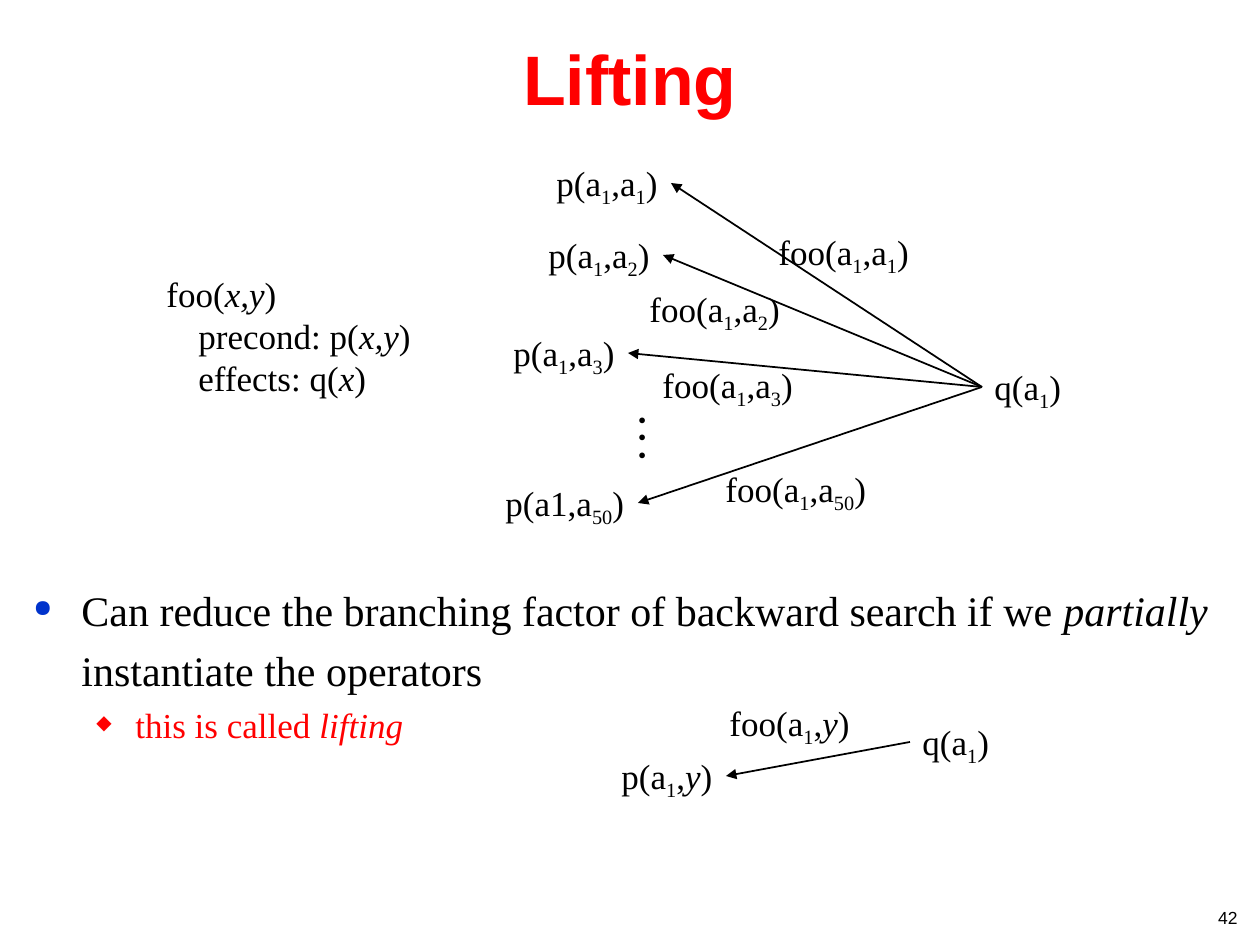
from pptx import Presentation
from pptx.dml.color import RGBColor
from pptx.enum.shapes import MSO_CONNECTOR
from pptx.enum.text import MSO_ANCHOR, MSO_AUTO_SIZE, PP_ALIGN
from pptx.oxml.ns import qn
from pptx.util import Pt
from lxml.etree import SubElement

COLORS = {"ink": "000000", "red": "FF0000", "blue": "0033CC"}
SERIF, SANS = "Times New Roman", "Arial"
SCALE = 914400 / 126


def px(n):
    return round(n * SCALE)


def add_text(slide, box, lines, size=20, font=SERIF, color="ink", wrap=False):
    """Lines hold pieces split by |, where _ marks a subscript and / italics."""
    shape = slide.shapes.add_textbox(*map(px, box))
    frame = shape.text_frame
    frame.word_wrap = wrap
    if not wrap:
        frame.auto_size = MSO_AUTO_SIZE.SHAPE_TO_FIT_TEXT
    for i, line in enumerate(lines):
        para = frame.paragraphs[0] if i == 0 else frame.add_paragraph()
        para.font.size, para.font.name = Pt(size), font
        para.font.color.rgb = RGBColor.from_string(COLORS[color])
        for piece in line.split("|"):
            run = para.add_run()
            run.text = piece.lstrip("_/")
            if piece.startswith("_"):
                run.font._element.set("baseline", "-25000")
            elif piece.startswith("/"):
                run.font.italic = True
    return shape


def indent(para, left, first=0):
    props = para._p.get_or_add_pPr()
    props.set("marL", str(px(left)))
    props.set("indent", str(px(first)))
    return props


def add_bullet(para, left, hang, mark, color):
    props = indent(para, left, -hang)
    fill = SubElement(props, qn("a:buClr"))
    SubElement(fill, qn("a:srgbClr"), val=COLORS[color])
    SubElement(props, qn("a:buSzPct"), val="57000")
    SubElement(props, qn("a:buChar"), char=mark)


def add_arrow(slide, start, end):
    line = slide.shapes.add_connector(
        MSO_CONNECTOR.STRAIGHT, *map(px, (*start, *end)))
    line.line.color.rgb = RGBColor.from_string(COLORS["ink"])
    line.line.width = Pt(1)
    SubElement(line.line._get_or_add_ln(), qn("a:tailEnd"), type="triangle")
    SubElement(line._element.spPr, qn("a:effectLst"))


def add_title(slide, box):
    frame = add_text(slide, box, ["Lifting"], 40, SANS, "red", True).text_frame
    frame.vertical_anchor = MSO_ANCHOR.BOTTOM
    frame.paragraphs[0].alignment = PP_ALIGN.CENTER
    frame.paragraphs[0].font.bold = True


def add_rule(slide, box):
    lines = ["foo(|/x,y|)", "precond: p(|/x,y|)", "effects: q(|/x|)"]
    frame = add_text(slide, box, lines).text_frame
    for para in frame.paragraphs[1:]:
        indent(para, 32)


def add_search(slide, box, root, nodes, acts):
    """Draw arrows from the root goal back to each node, with action labels."""
    left, top = box
    mid = 28

    def label(x, y, wide, text):
        add_text(slide, (left + x, top + y, wide, 60), [text])

    x, y = root
    start = (left + x, top + y + mid)
    label(x, y, 92, "q(a|_1|)")
    for x, y, wide, text in nodes:
        label(x, y, wide, f"p({text})")
        add_arrow(slide, start, (left + x + wide + 1, top + y + mid))
    for x, y, wide, text in acts:
        label(x, y, wide, f"foo({text})")


def add_dots(slide, box):
    dots = add_text(slide, box, [". . ."])
    dots.rotation = 90
    dots.text_frame.paragraphs[0].font.bold = True


def add_points(slide, box):
    lines = [
        "Can reduce the branching factor of backward search if we "
        "|/partially| instantiate the operators",
        "this is called |/lifting",
    ]
    main, sub = add_text(slide, box, lines, 24, wrap=True).text_frame.paragraphs
    main.line_spacing, main.space_before = 1.2, Pt(6)
    add_bullet(main, 48, 48, "●", "blue")
    sub.level, sub.space_before = 1, Pt(5)
    sub.font.size = Pt(20)
    sub.font.color.rgb = RGBColor.from_string(COLORS["red"])
    add_bullet(sub, 102, 39, "◆", "red")


def add_number(slide, box):
    frame = add_text(slide, box, ["42"], 10, SANS, wrap=True).text_frame
    para = frame.paragraphs[0]
    para.alignment, para.space_before = PP_ALIGN.RIGHT, Pt(6.2)


def main():
    deck = Presentation()
    deck.slide_width, deck.slide_height = px(1260), px(945)
    slide = deck.slides.add_slide(deck.slide_layouts[6])

    add_number(slide, (1184, 901, 66, 33))
    add_title(slide, (21, 14, 1218, 112))
    add_points(slide, (21, 568, 1218, 233))
    add_rule(slide, (154, 266, 331, 139))

    # Full search: one branch for each ground instance
    nodes = [(51, 0, 126, "a|_1|,a|_1|"), (43, 72, 126, "a|_1|,a|_2|"),
             (8, 170, 126, "a|_1|,a|_3|"), (0, 320, 144, "a1,a|_50|")]
    acts = [(273, 69, 158, "a|_1|,a|_1|"), (144, 126, 158, "a|_1|,a|_2|"),
            (157, 202, 158, "a|_1|,a|_3|"), (220, 306, 168, "a|_1|,a|_50|")]
    add_search(slide, (493, 155), (489, 204), nodes, acts)
    add_dots(slide, (619, 411, 69, 55))

    # Lifted search: a single branch
    add_search(slide, (609, 695), (301, 19), [(0, 53, 116, "a|_1|,|/y|")],
               [(108, 0, 145, "a|_1|,|/y|")])
    deck.save("out.pptx")


if __name__ == "__main__":
    main()
